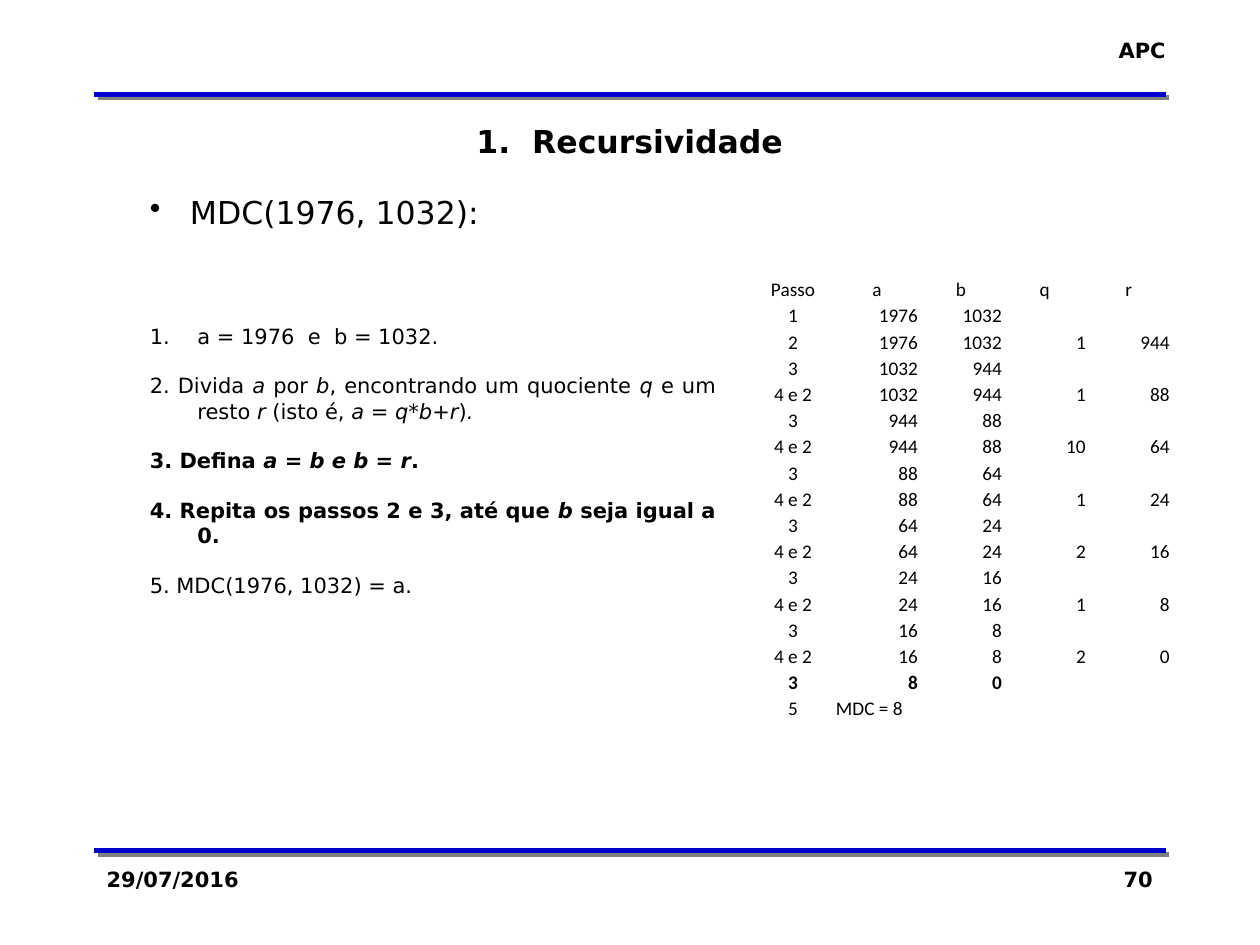
from lxml.etree import SubElement
from pptx import Presentation
from pptx.dml.color import RGBColor
from pptx.enum.shapes import MSO_CONNECTOR
from pptx.enum.text import MSO_ANCHOR as Anchor, PP_ALIGN as Align
from pptx.oxml.ns import qn
from pptx.util import Cm, Pt

FONT = "DejaVu Sans"
BLACK, BLUE, GREY = "000000", "0000CC", "808080"

TITLE = "1.  Recursividade"
LABELS = [
    ("APC", (22.28, 0.64, 1.47, 0.76), Align.RIGHT, False),
    ("29/07/2016", (1.9, 17.35, 5.29, 1.27), Align.LEFT, True),
    ("70", (18.2, 17.35, 5.29, 1.27), Align.RIGHT, True),
]
RULES = [1.9, 17.15]
RULE_LEFT, RULE_RIGHT = 1.9, 23.5

BULLET = ("buChar", {"char": "•"})
NUMBER = ("buAutoNum", {"type": "arabicPeriod"})
NO_BULLET = ("buNone", {})
STEPS = [
    (18, 0, 0.81, BULLET, [("MDC(1976, 1032):", "")]),
    (12, 53, 0.96, NUMBER, [("a = 1976  e  b = 1032.", "")]),
    (12, 14, 0.96, NO_BULLET, [
        ("2. Divida ", ""), ("a", "i"), (" por ", ""), ("b", "i"),
        (", encontrando um quociente ", ""), ("q", "i"), (" e um resto ", ""),
        ("r", "i"), (" (isto é, ", ""), ("a = q*b+r", "i"), (")", ""), (".", "i")]),
    (12, 14, 0.96, NO_BULLET, [
        ("3. Defina ", "b"), ("a = b e b = r", "bi"), (".", "b")]),
    (12, 14, 0.96, NO_BULLET, [
        ("4. Repita os passos 2 e 3, até que ", "b"), ("b", "bi"),
        (" seja igual a 0.", "b")]),
    (12, 14, 0.96, NO_BULLET, [("5. MDC(1976, 1032) = a.", "")]),
]

COLUMNS = 5
HEADER = ["Passo", "a", "b", "q", "r"]
TRACE = [
    ["1", "1976", "1032"],
    ["2", "1976", "1032", "1", "944"],
    ["3", "1032", "944"],
    ["4 e 2", "1032", "944", "1", "88"],
    ["3", "944", "88"],
    ["4 e 2", "944", "88", "10", "64"],
    ["3", "88", "64"],
    ["4 e 2", "88", "64", "1", "24"],
    ["3", "64", "24"],
    ["4 e 2", "64", "24", "2", "16"],
    ["3", "24", "16"],
    ["4 e 2", "24", "16", "1", "8"],
    ["3", "16", "8"],
    ["4 e 2", "16", "8", "2", "0"],
    ["3", "8", "0"],
    ["5", "MDC = 8"],
    [],
]
BOLD_ROW = 15
TABLE_AREA = (15.14, 5.56, 8.46, 9.52)


def color(code):
    return RGBColor.from_string(code)


def set_all(target, values):
    for name, value in values.items():
        setattr(target, name, value)


def add_span(para, text, size, style="", name=FONT):
    span = para.add_run()
    span.text = text
    set_all(span.font, {"name": name, "size": Pt(size),
                        "bold": "b" in style, "italic": "i" in style})
    span.font.color.rgb = color(BLACK)


def add_box(page, area, wrap=True):
    box = page.shapes.add_textbox(*map(Cm, area))
    box.text_frame.word_wrap = wrap
    return box.text_frame


def add_rule(page, top):
    rule = page.shapes.add_connector(
        MSO_CONNECTOR.STRAIGHT, Cm(RULE_LEFT), Cm(top), Cm(RULE_RIGHT), Cm(top))
    rule.line.color.rgb = color(BLUE)
    rule.line.width = Pt(3)
    effects = SubElement(rule._element.spPr, qn("a:effectLst"))
    shadow = SubElement(effects, qn("a:outerShdw"), dist=str(Pt(2.8)),
                        dir="2700000", algn="ctr", rotWithShape="0")
    SubElement(shadow, qn("a:srgbClr"), val=GREY)


def add_title(page):
    title = page.shapes.title
    left, top, width, height = map(Cm, (1.9, 2.34, 21.59, 1.02))
    set_all(title, {"left": left, "top": top, "width": width, "height": height})
    set_all(title.text_frame, {"word_wrap": True, "vertical_anchor": Anchor.TOP})
    para = title.text_frame.paragraphs[0]
    para.alignment = Align.CENTER
    add_span(para, TITLE, 18, "b")


def add_steps(page):
    frame = add_box(page, (2.77, 3.76, 11.91, 9.32))
    for index, (size, gap, indent, (tag, options), spans) in enumerate(STEPS):
        para = frame.add_paragraph() if index else frame.paragraphs[0]
        para.alignment = Align.JUSTIFY
        if gap:
            para.space_before = Pt(gap)
        props = para._p.get_or_add_pPr()
        props.set("marL", str(Cm(indent)))
        props.set("indent", str(-Cm(indent)))
        SubElement(props, qn("a:" + tag), **options)
        for text, style in spans:
            add_span(para, text, size, style)


def cell_alignment(row, column, text):
    if row == 0 or column == 0:
        return Align.CENTER
    return Align.RIGHT if text.isdigit() else Align.LEFT


def add_trace(page):
    rows = [HEADER] + TRACE
    table = page.shapes.add_table(len(rows), COLUMNS, *map(Cm, TABLE_AREA)).table
    set_all(table, {"first_row": False, "horz_banding": False})
    for column in table.columns:
        column.width = Cm(TABLE_AREA[2] / COLUMNS)
    for row, values in enumerate(rows):
        table.rows[row].height = Cm(TABLE_AREA[3] / len(rows))
        for column in range(COLUMNS):
            text = values[column] if column < len(values) else ""
            cell = table.cell(row, column)
            cell.fill.background()
            set_all(cell, {"margin_left": Cm(0.02), "margin_right": Cm(0.02),
                           "margin_top": Cm(0.02), "margin_bottom": 0,
                           "vertical_anchor": Anchor.BOTTOM})
            para = cell.text_frame.paragraphs[0]
            para.alignment = cell_alignment(row, column, text)
            if text:
                add_span(para, text, 11, "b" if row == BOLD_ROW else "", "Calibri")
            else:
                SubElement(para._p, qn("a:endParaRPr"), sz="1100")


def main():
    deck = Presentation()
    set_all(deck, {"slide_width": Cm(25.4), "slide_height": Cm(19.05)})
    page = deck.slides.add_slide(deck.slide_layouts[5])
    for top in RULES:
        add_rule(page, top)
    for text, area, alignment, wrap in LABELS:
        para = add_box(page, area, wrap).paragraphs[0]
        para.alignment = alignment
        add_span(para, text, 12, "b")
    add_steps(page)
    add_title(page)
    add_trace(page)
    deck.save("out.pptx")


if __name__ == "__main__":
    main()
